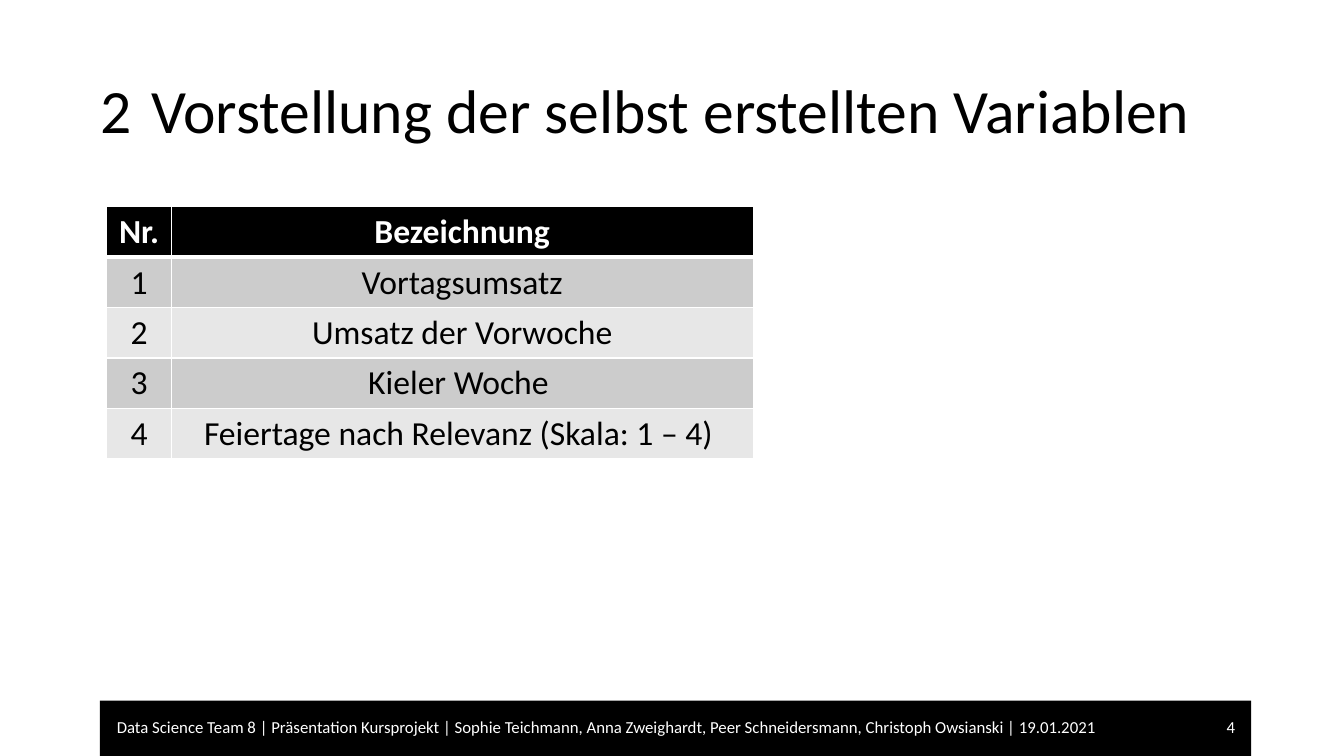
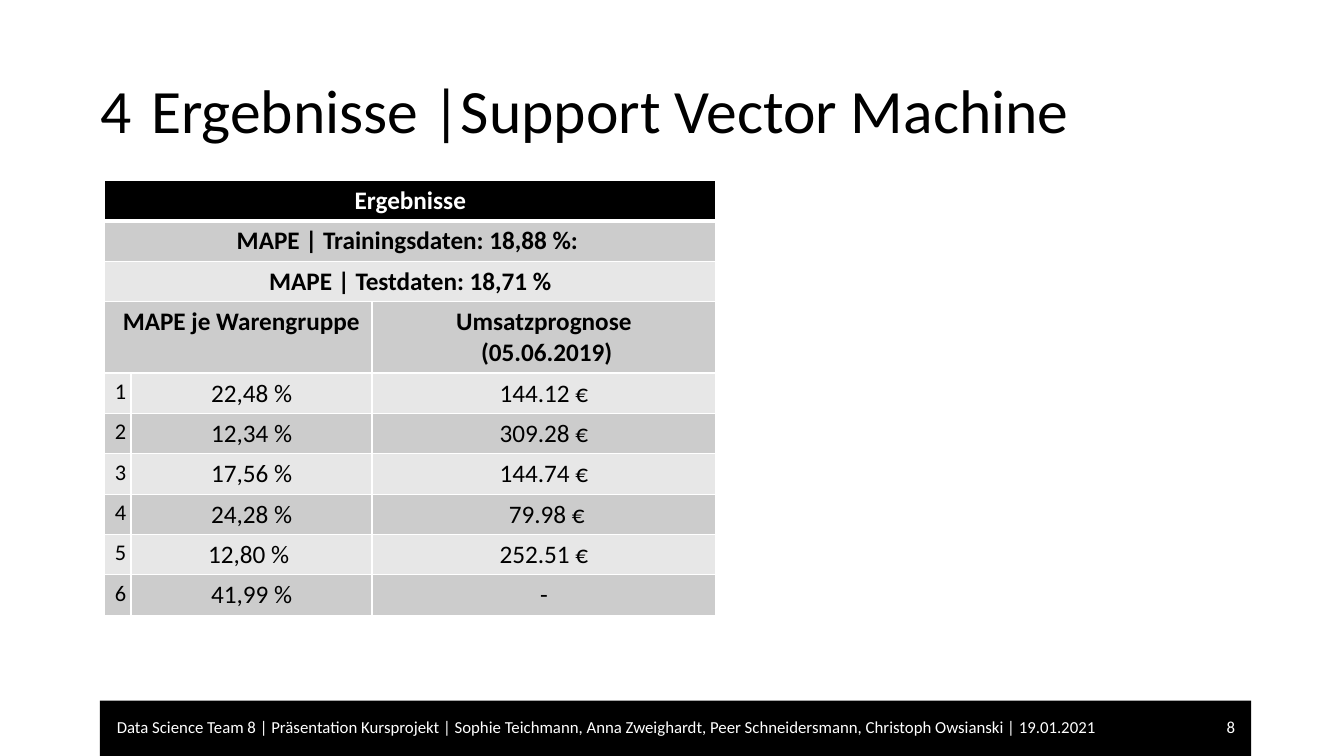
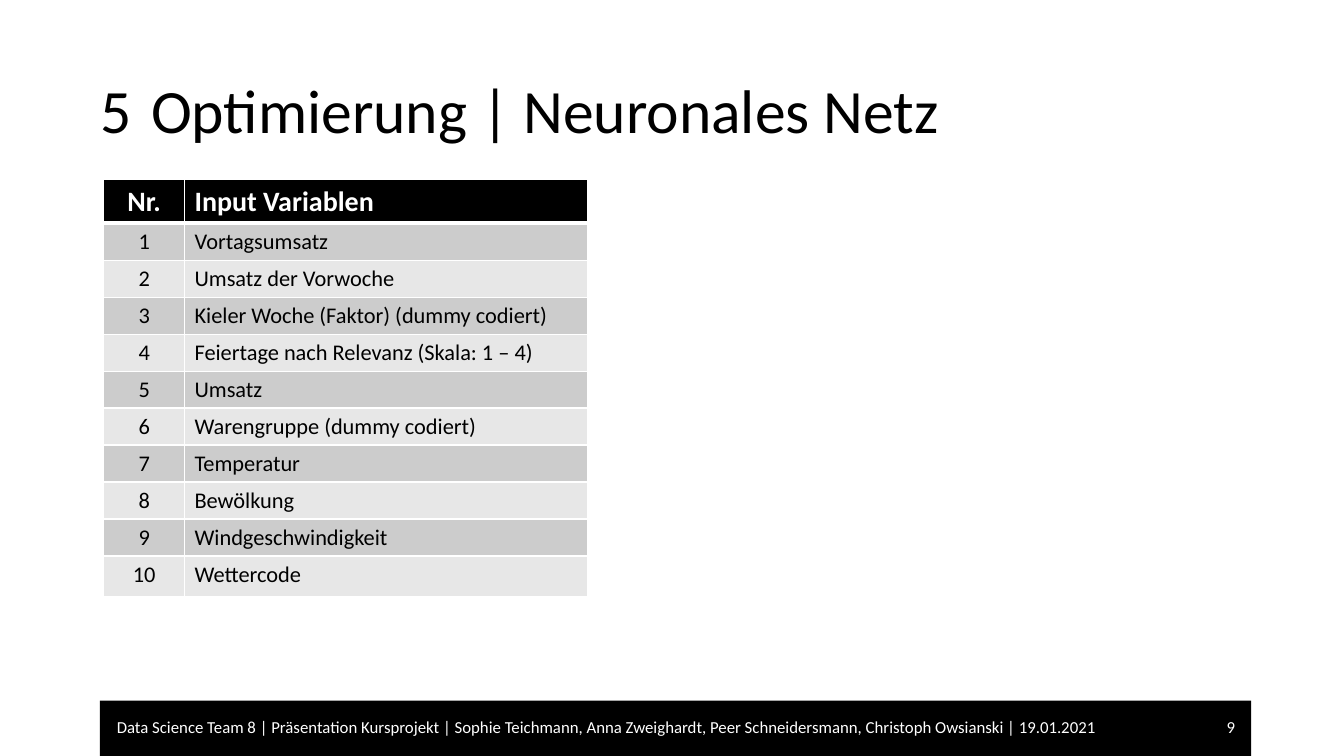
import pptx
import pptx.util
import pptx.dml.color
import pptx.enum.shapes
import pptx.enum.text
import pptx.oxml
import pptx.oxml.ns

Inches = pptx.util.Inches
Pt = pptx.util.Pt
ALIGN = pptx.enum.text.PP_ALIGN
FONT = "Calibri"
BLACK, WHITE = "000000", "FFFFFF"
BANDS = ("CCCCCC", "E7E7E7")
FOOTER = ("Data Science Team 8 | Präsentation Kursprojekt | Sophie Teichmann, "
          "Anna Zweighardt, Peer Schneidersmann, Christoph Owsianski | 19.01.2021")


def rgb(color):
    return pptx.dml.color.RGBColor.from_string(color)


def style(p, size, color, align, bold=False):
    p.alignment = align
    p.font.name = FONT
    p.font.size = Pt(size)
    p.font.bold = bold
    p.font.color.rgb = rgb(color)


def add_text(s, text, box, size, color, align):
    tf = s.shapes.add_textbox(*map(Inches, box)).text_frame
    tf.word_wrap = True
    tf.vertical_anchor = pptx.enum.text.MSO_ANCHOR.MIDDLE
    p = tf.paragraphs[0]
    p.text = text
    style(p, size, color, align)
    return p


def add_slide(prs, title, number):
    s = prs.slides.add_slide(prs.slide_layouts[6])
    band = s.shapes.add_shape(pptx.enum.shapes.MSO_SHAPE.RECTANGLE,
                              Inches(0.99), Inches(6.95), Inches(11.42), Inches(0.55))
    band.shadow.inherit = False
    band.fill.solid()
    band.fill.fore_color.rgb = rgb(BLACK)
    band.line.fill.background()
    p = add_text(s, title, (0.9, 0.4, 11.5, 1.45), 44, BLACK, ALIGN.LEFT)
    p.line_spacing = 0.9
    add_text(s, FOOTER, (1.06, 7.09, 10.28, 0.24), 12, WHITE, ALIGN.JUSTIFY)
    add_text(s, str(number), (11.68, 7.09, 0.67, 0.24), 12, WHITE, ALIGN.RIGHT)
    return s


def add_borders(cell, bottom):
    tc_pr = cell._tc.get_or_add_tcPr()
    for side, width in (("L", 1), ("R", 1), ("T", 1), ("B", bottom)):
        tc_pr.append(pptx.oxml.parse_xml(
            f'<a:ln{side} {pptx.oxml.ns.nsdecls("a")} w="{Pt(width)}">'
            f'<a:solidFill><a:srgbClr val="{WHITE}"/></a:solidFill></a:ln{side}>'))


def add_table(s, left, top, widths, heights, rows, head_size, sizes, aligns, head_rows=1):
    table = s.shapes.add_table(len(rows), len(widths), Inches(left), Inches(top),
                               Inches(sum(widths)), Inches(sum(heights))).table
    for column, width in zip(table.columns, widths):
        column.width = Inches(width)
    for i, (row, height) in enumerate(zip(rows, heights)):
        table.rows[i].height = Inches(height)
        fill = BANDS[(i - 1) % 2] if i else BLACK
        for j, text in enumerate(row):
            cell = table.cell(i, j)
            add_borders(cell, 1 if i else 3)
            cell.fill.solid()
            cell.fill.fore_color.rgb = rgb(fill)
            if text is None:
                continue
            end = j
            while end + 1 < len(row) and row[end + 1] is None:
                end += 1
            if end > j:
                cell.merge(table.cell(i, end))
            p = cell.text_frame.paragraphs[0]
            p.text = text
            head = i < head_rows
            style(p, head_size if head else sizes[j], BLACK if i else WHITE, aligns[j], head)


def numbered(header, names):
    return [("Nr.", header)] + [(str(n), name) for n, name in enumerate(names, 1)]


def main():
    prs = pptx.Presentation()
    prs.slide_width, prs.slide_height = Inches(13.33), Inches(7.5)

    s = add_slide(prs, "2\tVorstellung der selbst erstellten Variablen", 4)
    variables = numbered("Bezeichnung", [
        "Vortagsumsatz", "Umsatz der Vorwoche", "Kieler Woche ",
        "Feiertage nach Relevanz (Skala: 1 – 4) "])
    add_table(s, 1.06, 2.05, (0.64, 5.77), [0.5] * 5, variables,
              24, (24, 24), [ALIGN.CENTER] * 2)

    s = add_slide(prs, "4\tErgebnisse |Support Vector Machine", 8)
    forecasts = [("22,48 %", "144.12 €"), ("12,34 %", "309.28 €"), ("17,56 %", "144.74 €"),
                 ("24,28 %", " 79.98 €"), ("12,80 % ", "252.51 €"), ("41,99 %", "-")]
    results = [("Ergebnisse", None, None),
               ("MAPE | Trainingsdaten: 18,88 %: ", None, None),
               ("MAPE | Testdaten: 18,71 %", None, None),
               (" MAPE je Warengruppe", None, "Umsatzprognose\v (05.06.2019)")]
    results += [(str(n), *forecast) for n, forecast in enumerate(forecasts, 1)]
    add_table(s, 1.04, 1.79, (0.26, 2.39, 3.41), [0.4] * 3 + [0.71] + [0.4] * 6, results,
              18, (16, 18, 18), [ALIGN.CENTER] * 3, head_rows=4)

    s = add_slide(prs, "5\tOptimierung | Neuronales Netz", 9)
    inputs = numbered("Input Variablen", [
        "Vortagsumsatz", "Umsatz der Vorwoche", "Kieler Woche (Faktor) (dummy codiert)",
        "Feiertage nach Relevanz (Skala: 1 – 4)", "Umsatz", "Warengruppe (dummy codiert)",
        "Temperatur", "Bewölkung", "Windgeschwindigkeit", "Wettercode"])
    add_table(s, 1.03, 1.78, (0.8, 4), [0.43] + [0.36] * 9 + [0.4], inputs,
              20, (16, 16), (ALIGN.CENTER, ALIGN.LEFT))

    prs.save("out.pptx")


main()
